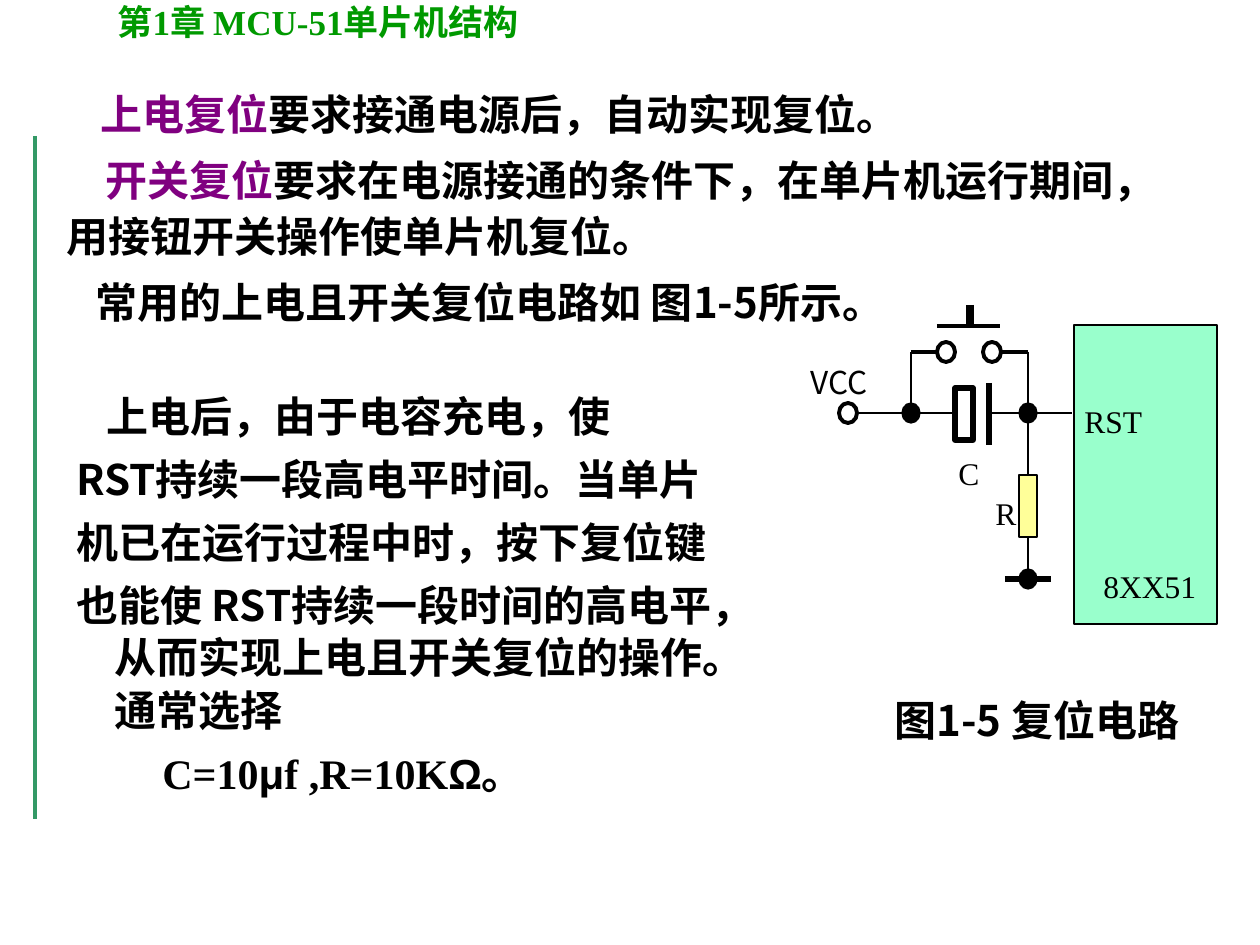
from lxml.etree import SubElement
from pptx import Presentation
from pptx.dml.color import RGBColor
from pptx.enum.shapes import MSO_CONNECTOR, MSO_SHAPE
from pptx.enum.text import MSO_ANCHOR, MSO_AUTO_SIZE, PP_ALIGN
from pptx.oxml.ns import qn
from pptx.util import Inches, Pt

PX_PER_INCH = 126
SANS = "Noto Sans CJK SC"
SERIF = "Times New Roman"
BLACK, WHITE, PURPLE, GREEN = "000000", "FFFFFF", "800080", "009900"


def px(length):
    return round(Inches(1) * length / PX_PER_INCH)


def color(value):
    return RGBColor.from_string(value)


def add_span(para, text, size=24, font=SANS, fill=BLACK, bold=True):
    span = para.add_run()
    span.text = text
    span.font.size = Pt(size)
    span.font.name = font
    span.font.bold = bold
    span.font.color.rgb = color(fill)
    SubElement(span.font._element, qn("a:ea")).set("typeface", SANS)


def format_para(para, line=None, before=0, left=0, indent=0):
    para.alignment = PP_ALIGN.LEFT
    para.space_before = Pt(before)
    if line:
        para.line_spacing = Pt(line)
    properties = para._p.get_or_add_pPr()
    properties.set("marL", str(px(left)))
    properties.set("indent", str(px(indent)))


def prepare_frame(box):
    frame = box.text_frame
    frame.word_wrap = True
    frame.auto_size = MSO_AUTO_SIZE.NONE
    frame.vertical_anchor = MSO_ANCHOR.TOP
    return frame


def add_box(page, left, top, width, height):
    return page.shapes.add_textbox(px(left), px(top), px(width), px(height))


def add_paragraphs(box, paragraphs, line, before=6):
    frame = prepare_frame(box)
    for index, (left, indent, spans) in enumerate(paragraphs):
        para = frame.add_paragraph() if index else frame.paragraphs[0]
        format_para(para, line, before if index else 0, left, indent)
        for text, options in spans:
            add_span(para, text, **options)


def add_label(page, text, left, top, width, height, line=None, **options):
    para = prepare_frame(add_box(page, left, top, width, height)).paragraphs[0]
    format_para(para, line)
    add_span(para, text, **options)


def add_line(page, start, end, weight=1.5, stroke=BLACK):
    line = page.shapes.add_connector(
        MSO_CONNECTOR.STRAIGHT, *(px(value) for value in (*start, *end)))
    line.line.color.rgb = color(stroke)
    line.line.width = Pt(weight)
    SubElement(line._element.spPr, qn("a:effectLst"))


def add_part(page, preset, left, top, width, height, fill, weight):
    part = page.shapes.add_shape(preset, px(left), px(top), px(width), px(height))
    part.shadow.inherit = False
    part.fill.solid()
    part.fill.fore_color.rgb = color(fill)
    part.line.color.rgb = color(BLACK)
    part.line.width = Pt(weight)


def add_heading(page, left, top, width, height):
    title = page.shapes.title
    title.left, title.top, title.width, title.height = map(
        px, (left, top, width, height))
    para = prepare_frame(title).paragraphs[0]
    format_para(para, line=26)
    add_span(para, "第1章 MCU-51单片机结构", size=20, font=SERIF, fill=GREEN)


def add_introduction(page, left, top, width, height):
    term = {"fill": PURPLE}
    add_paragraphs(add_box(page, left, top, width, height), [
        (0, 34, [("上电复位", term), ("要求接通电源后，自动实现复位。", {})]),
        (0, 39, [("开关复位", term),
                 ("要求在电源接通的条件下，在单片机运行期间，用接钮开关操作使单片机复位。", {})]),
        (0, 29, [("常用的上电且开关复位电路如 图1-5所示。", {})]),
    ], line=31.6, before=6.5)


def add_explanation(page, left, top, width, height):
    hang = 48
    serif, symbol = {"font": SERIF}, {"font": "Arial"}
    add_paragraphs(add_box(page, left, top, width, height), [
        (hang, 40 - hang, [("上电后，由于电容充电，使", {})]),
        (hang, 10 - hang, [("RST持续一段高电平时间。当单片", {})]),
        (hang, 10 - hang, [("机已在运行过程中时，按下复位键", {})]),
        (hang, 10 - hang,
         [("也能使 RST持续一段时间的高电平，从而实现上电且开关复位的操作。通常选择", {})]),
        (hang, 96 - hang, [("C=10", serif), ("μ", symbol), ("f ,R=10K", serif),
                           ("Ω", symbol), ("。", {})]),
    ], line=30)


def add_circuit(page, left, top):
    def at(x, y):
        return left + x, top + y

    supply, node, reset = 48, 111, 228
    rail, switch, ground = 108, 47, 274
    contacts = (146, 192)

    add_part(page, MSO_SHAPE.RECTANGLE, *at(274, 20), 143, 299, "99FFCC", 1.5)
    wires = [
        ((supply, rail), (156, rail), 1.5),
        ((192, rail), (272, rail), 1.5),
        ((node, switch), (node, rail), 1.5),
        ((reset, switch), (reset, ground), 1.5),
        ((node, switch), (contacts[0], switch), 2.25),
        ((contacts[1], switch), (reset, switch), 2.25),
        ((137, 21), (200, 21), 2.25),
        ((170, 0), (170, 20), 4.5),
        ((189, 78), (189, 140), 3),
        ((205, ground), (251, ground), 3),
    ]
    for start, end, weight in wires:
        add_line(page, at(*start), at(*end), weight)

    add_part(page, MSO_SHAPE.RECTANGLE, *at(155, 83), 18, 52, WHITE, 3)
    add_part(page, MSO_SHAPE.RECTANGLE, *at(219, 170), 18, 62, "FFFF99", 1.5)

    junctions = [(node, rail), (reset, rail), (reset, ground)]
    terminals = [(supply, rail)] + [(x, switch) for x in contacts]
    for centers, fill, weight in ((junctions, BLACK, 0.75), (terminals, WHITE, 2.25)):
        for x, y in centers:
            add_part(page, MSO_SHAPE.FLOWCHART_CONNECTOR,
                     *at(x - 9, y - 10), 18, 20, fill, weight)

    for text, x, y, width in (("RST", 272, 91, 100), ("8XX51", 291, 256, 126),
                              ("R", 183, 183, 50), ("C", 146, 143, 50)):
        add_label(page, text, *at(x, y), width, 50, size=18, font=SERIF, bold=False)
    add_label(page, "VCC", *at(-2, 42), 112, 58, line=27, size=18, bold=False)


def main():
    deck = Presentation()
    deck.slide_width, deck.slide_height = Inches(10), Inches(7.5)
    page = deck.slides.add_slide(deck.slide_layouts[5])
    add_line(page, (35, 136), (35, 819), 2.25, "339966")
    add_heading(page, 105, -9, 725, 55)
    add_explanation(page, 54, 382, 694, 452)
    add_circuit(page, 800, 305)
    add_introduction(page, 54, 77, 1103, 265)
    add_label(page, "图1-5 复位电路", 882, 672, 334, 73, line=38)
    deck.save("out.pptx")


if __name__ == "__main__":
    main()
